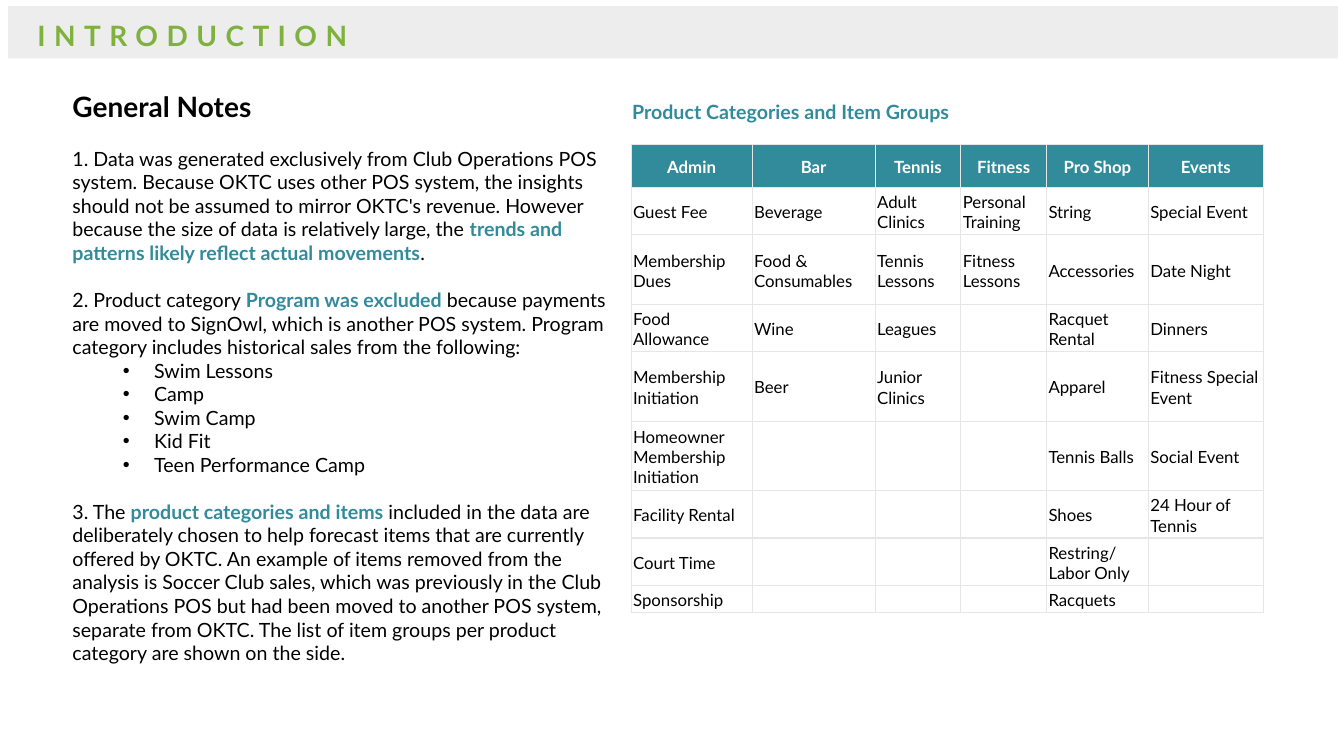
"""Builds the introduction slide with general notes and a table of product categories."""
from lxml import etree
from pptx import Presentation
from pptx.dml.color import RGBColor
from pptx.enum import shapes, text
from pptx.oxml import ns
from pptx.util import Inches, Pt

TEAL = RGBColor(0x32, 0x8B, 0x9B)
GREEN = RGBColor(0x7F, 0xB1, 0x3F)
BLACK = RGBColor(0, 0, 0)
WHITE = RGBColor(255, 255, 255)
BANNER_GREY = RGBColor(0xED, 0xED, 0xED)
BORDER_GREY = RGBColor(0xE7, 0xE6, 0xE6)


def style(run, size, color, bold):
    run.font.name = "Lato"
    run.font.size = Pt(size)
    run.font.color.rgb = color
    run.font.bold = bold


def add_element(parent, tag, **attributes):
    return etree.SubElement(parent, ns.qn(tag), attributes)


prs = Presentation()
prs.slide_width, prs.slide_height = Inches(13.33), Inches(7.5)
slide = prs.slides.add_slide(prs.slide_layouts[5])

banner = slide.shapes.add_shape(
    shapes.MSO_SHAPE.RECTANGLE, Inches(0.08), Inches(0.06), Inches(13.19), Inches(0.52))
banner.shadow.inherit = False
banner.fill.solid()
banner.fill.fore_color.rgb = BANNER_GREY
banner.line.fill.background()

heading = slide.shapes.title
slide.shapes._spTree.append(heading._element)
heading.left, heading.top = Inches(0.27), Inches(0.13)
heading.width, heading.height = Inches(6.59), Inches(0.44)
heading.text_frame.text = "INTRODUCTION"
heading.text_frame.auto_size = text.MSO_AUTO_SIZE.NONE
heading.text_frame.vertical_anchor = text.MSO_ANCHOR.TOP
heading_line = heading.text_frame.paragraphs[0]
heading_line.alignment = text.PP_ALIGN.LEFT
style(heading_line.runs[0], 20, GREEN, True)
heading_line.runs[0].font._element.set("spc", "600")

caption = slide.shapes.add_textbox(Inches(6.17), Inches(0.94), Inches(5.88), Inches(0.34))
caption.text_frame.word_wrap = True
caption.text_frame.text = "Product Categories and Item Groups"
style(caption.text_frame.paragraphs[0].runs[0], 14, TEAL, True)

# Each numbered note: plain opening, highlighted phrase, plain ending, bulleted items
notes = [
    (" Data was generated exclusively from Club Operations POS system. Because OKTC uses "
     "other POS system, the insights should not be assumed to mirror OKTC's revenue. However "
     "because the size of data is relatively large, the ",
     "trends and patterns likely reflect actual movements", ".", []),
    (" Product category ", "Program was excluded ",
     "because payments are moved to SignOwl, which is another POS system. Program category "
     "includes historical sales from the following:",
     ["Swim Lessons", "Camp", "Swim Camp", "Kid Fit", "Teen Performance Camp"]),
    (" The ", "product categories and items ",
     "included in the data are deliberately chosen to help forecast items that are currently "
     "offered by OKTC. An example of items removed from the analysis is Soccer Club sales, "
     "which was previously in the Club Operations POS but had been moved to another POS "
     "system, separate from OKTC. The list of item groups per product category are shown on "
     "the side.", []),
]
notes_frame = slide.shapes.add_textbox(
    Inches(0.62), Inches(0.84), Inches(5.5), Inches(5.86)).text_frame
notes_frame.word_wrap = True
notes_frame.text = "General Notes"
style(notes_frame.paragraphs[0].runs[0], 20, BLACK, True)

for number, (opening, highlight, ending, items) in enumerate(notes, start=1):
    note = notes_frame.add_paragraph()
    note.space_before = Pt(16.8)
    add_element(note._p.get_or_add_pPr(), "a:buAutoNum",
                type="arabicPeriod", startAt=str(number))
    for phrase, color in ((opening, BLACK), (highlight, TEAL), (ending, BLACK)):
        run = note.add_run()
        run.text = phrase
        style(run, 14, color, color == TEAL)
    for item in items:
        bullet = notes_frame.add_paragraph()
        bullet.text = item
        bullet.level = 1
        properties = bullet._p.get_or_add_pPr()
        properties.set("marL", str(Inches(0.81)))
        properties.set("indent", str(Inches(-0.31)))
        add_element(properties, "a:buFont", typeface="Arial")
        add_element(properties, "a:buChar", char="•")
        style(bullet.runs[0], 14, BLACK, False)

categories = {
    "Admin": ["Guest Fee", "Membership Dues", "Food Allowance", "Membership Initiation",
              "Homeowner Membership Initiation", "Facility Rental", "Court Time", "Sponsorship"],
    "Bar": ["Beverage", "Food & Consumables", "Wine", "Beer"],
    "Tennis": ["Adult Clinics", "Tennis Lessons", "Leagues", "Junior Clinics"],
    "Fitness": ["Personal Training", "Fitness Lessons"],
    "Pro Shop": ["String", "Accessories", "Racquet Rental", "Apparel", "Tennis Balls",
                 "Shoes", "Restring/ Labor Only", "Racquets"],
    "Events": ["Special Event", "Date Night", "Dinners", "Fitness Special Event",
               "Social Event", "24 Hour of Tennis"],
}
column_widths = [1.2, 1.22, 0.85, 0.85, 1.01, 1.14]
row_heights = [0.43, 0.47, 0.69, 0.47, 0.69, 0.69, 0.47, 0.47, 0.27]
table = slide.shapes.add_table(
    len(row_heights), len(categories), Inches(6.26), Inches(1.43),
    Inches(sum(column_widths)), Inches(sum(row_heights))).table
table.horz_banding = False
for row, height in zip(table.rows, row_heights):
    row.height = Inches(height)

for column, (category, groups) in enumerate(categories.items()):
    table.columns[column].width = Inches(column_widths[column])
    entries = [category] + groups
    for row in range(len(row_heights)):
        is_header = row == 0
        cell = table.cell(row, column)
        cell.margin_left = cell.margin_right = cell.margin_top = Inches(0.02)
        cell.margin_bottom = 0
        cell.vertical_anchor = text.MSO_ANCHOR.MIDDLE
        for side in ("a:lnL", "a:lnR", "a:lnT", "a:lnB"):
            border = add_element(cell._tc.get_or_add_tcPr(), side, w=str(Pt(1)))
            border_fill = add_element(border, "a:solidFill")
            add_element(border_fill, "a:srgbClr", val=str(BORDER_GREY))
        cell.fill.solid()
        cell.fill.fore_color.rgb = TEAL if is_header else WHITE
        entry = cell.text_frame.paragraphs[0]
        if row < len(entries):
            entry.text = entries[row]
            entry.alignment = text.PP_ALIGN.CENTER if is_header else text.PP_ALIGN.LEFT
            style(entry.runs[0], 12, WHITE if is_header else BLACK, is_header)
        else:
            add_element(entry._p, "a:endParaRPr", sz="1200")

prs.save("out.pptx")
